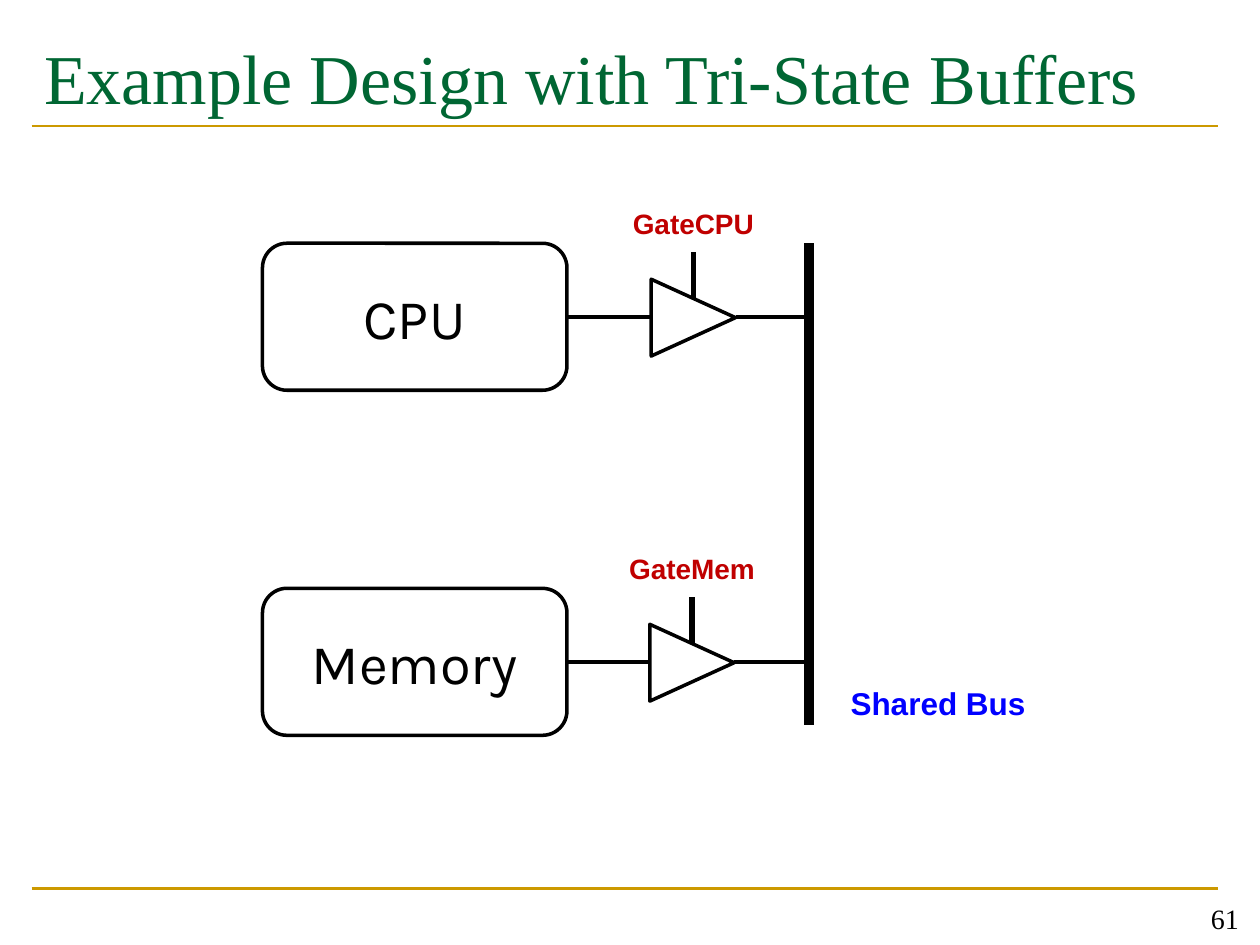
import pptx
import pptx.util
import pptx.dml.color
import pptx.enum.shapes
import pptx.enum.text
import pptx.oxml.ns
import lxml.etree

Pt = pptx.util.Pt
SHAPE = pptx.enum.shapes.MSO_SHAPE
ALIGN = pptx.enum.text.PP_ALIGN
ANCHOR = pptx.enum.text.MSO_ANCHOR

TITLE = "Example Design with Tri-State Buffers"
PAGE = "61"
BUS_LABEL = "Shared Bus"
# device, gate signal, top of the device, centre of its buffer
DEVICES = [("CPU", "GateCPU", 139, 396.2), ("Memory", "GateMem", 336.2, 395.4)]

BLACK, WHITE, GOLD = "000000", "FFFFFF", "CC9900"
GREEN, RED, BLUE = "006633", "C00000", "0000FF"
SERIF, SANS, DEVICE_FONT = "Times New Roman", "Arial", "Karla"

RULE_LEFT, RULE_RIGHT = 18, 696.2
BOX_LEFT, BOX_W, BOX_H = 150, 174, 84
BUFFER_LENGTH, BUFFER_H = 48.2, 43.9
BUS_X, BUS_TOP, BUS_BOTTOM = 462.2, 139, 414
LABEL_W, LABEL_H = 114.5, 26.6


def rgb(value):
    return pptx.dml.color.RGBColor.from_string(value)


def place(sp, left, top, width, height):
    sp.left, sp.top, sp.width, sp.height = map(Pt, (left, top, width, height))


def set_text(sp, text, size, font, color, align, anchor=ANCHOR.TOP, bold=False):
    tf = sp.text_frame
    tf.word_wrap = True
    tf.vertical_anchor = anchor
    tf.text = text
    p = tf.paragraphs[0]
    p.alignment = align
    f = p.runs[0].font
    f.size, f.name, f.bold = Pt(size), font, bold
    f.color.rgb = rgb(color)


def add_text(s, box, *args, **kwargs):
    set_text(s.shapes.add_textbox(*map(Pt, box)), *args, **kwargs)


def add_line(s, x1, y1, x2, y2, color, width):
    line = s.shapes.add_connector(
        pptx.enum.shapes.MSO_CONNECTOR.STRAIGHT, *map(Pt, (x1, y1, x2, y2)))
    line.line.color.rgb = rgb(color)
    line.line.width = Pt(width)
    lxml.etree.SubElement(line._element.spPr, pptx.oxml.ns.qn("a:effectLst"))
    return line


def add_outlined(s, kind, *box):
    sp = s.shapes.add_shape(kind, *map(Pt, box))
    sp.shadow.inherit = False
    sp.fill.solid()
    sp.fill.fore_color.rgb = rgb(WHITE)
    sp.line.color.rgb = rgb(BLACK)
    sp.line.width = Pt(2)
    return sp


def add_device(s, name, gate, top, cx):
    """Draw a device, its tri-state buffer and its wires to the bus."""
    mid = top + BOX_H / 2
    box = add_outlined(s, SHAPE.ROUNDED_RECTANGLE, BOX_LEFT, top, BOX_W, BOX_H)
    set_text(box, name, 32, DEVICE_FONT, BLACK, ALIGN.CENTER, ANCHOR.MIDDLE)

    # The triangle points up until turned, so its width is the buffer's height.
    buffer = add_outlined(s, SHAPE.ISOSCELES_TRIANGLE, cx - BUFFER_H / 2,
                          mid - BUFFER_LENGTH / 2 + 0.5, BUFFER_H, BUFFER_LENGTH)
    buffer.rotation = 90
    add_line(s, cx, top + 5, cx, top + 31.5, BLACK, 3)

    half = BUFFER_LENGTH / 2
    wire = add_line(s, BOX_LEFT + BOX_W, mid, cx - half, mid, BLACK, 2.25)
    wire.begin_connect(box, 3)
    add_line(s, cx + half, mid, BUS_X, mid, BLACK, 2.25)
    add_text(s, (cx - LABEL_W / 2, top - 24.3, LABEL_W, LABEL_H),
             gate, 16, SANS, RED, ALIGN.CENTER, bold=True)


prs = pptx.Presentation()
prs.slide_width, prs.slide_height = Pt(720), Pt(540)
s = prs.slides.add_slide(prs.slide_layouts[5])

for y in (72, 507.6):
    add_line(s, RULE_LEFT, y, RULE_RIGHT, y, GOLD, 1.5)

title = s.shapes.title
place(title, RULE_LEFT, 12.2, RULE_RIGHT - RULE_LEFT, 69.8)
set_text(title, TITLE, 40, SERIF, GREEN, ALIGN.LEFT, ANCHOR.MIDDLE)
title.text_frame.margin_bottom = Pt(10.8)
add_text(s, (547.2, 501.8, 167.8, 36), PAGE, 16, SERIF, BLACK, ALIGN.RIGHT, ANCHOR.BOTTOM)

for device in DEVICES:
    add_device(s, *device)

add_line(s, BUS_X, BUS_TOP, BUS_X, BUS_BOTTOM, BLACK, 6)
add_text(s, (471.6, 387.4, 128.9, 28.8), BUS_LABEL, 18, SANS, BLUE, ALIGN.CENTER, bold=True)

prs.save("out.pptx")
